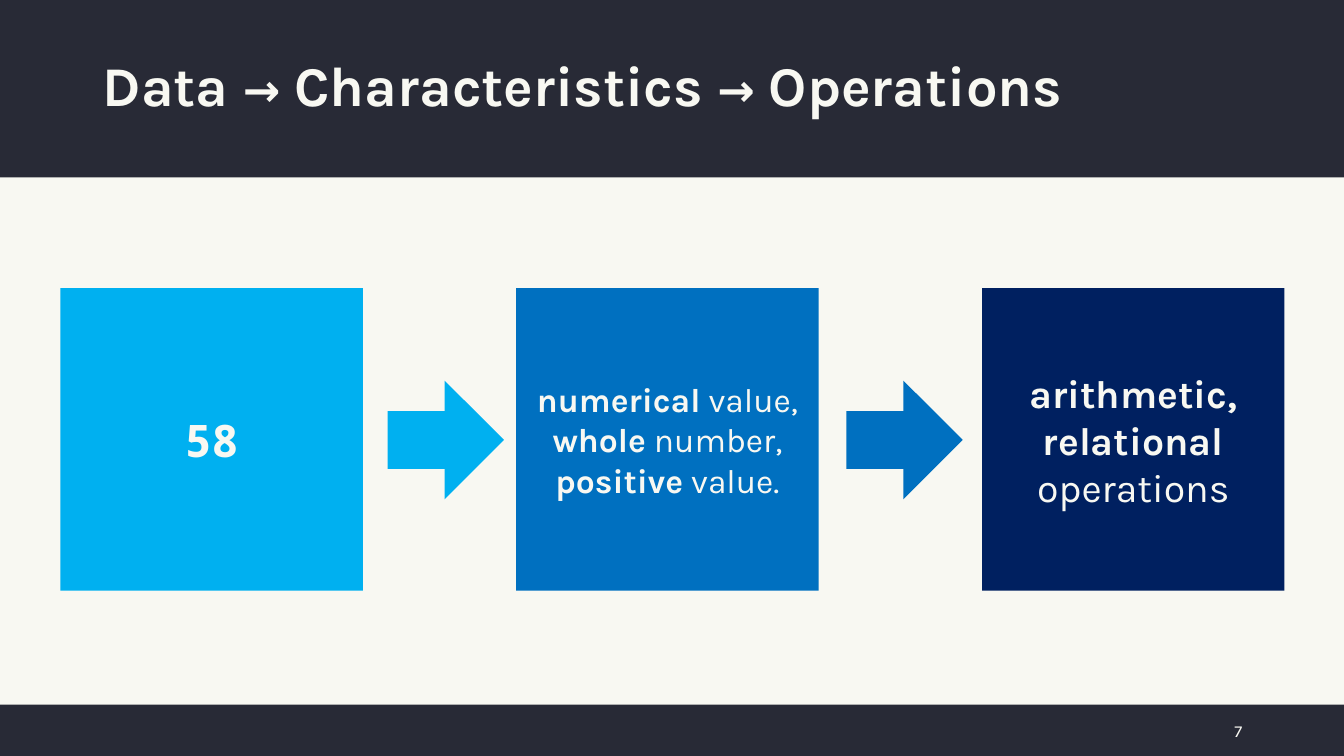
"""Build the slide that leads from data to characteristics to operations."""
from lxml.etree import SubElement
from pptx import Presentation
from pptx.dml.color import RGBColor
from pptx.enum.shapes import MSO_SHAPE as Shape
from pptx.enum.text import MSO_ANCHOR as Anchor, PP_ALIGN as Align
from pptx.oxml.ns import qn
from pptx.util import Inches, Pt

COLORS = {
    "paper": "F8F8F2",
    "band": "282A36",
    "data": "00B0F0",
    "characteristics": "0070C0",
    "operations": "002060",
}
CELL = Inches(0.5)
COLUMNS, ROWS = 26.66, 15
SQUARE, SQUARE_TOP = 6, 5.72
ARROW_TOP, ARROW_WIDTH, ARROW_HEIGHT = 7.72, 2.14, 2.02

STEPS = [
    ("data", 1.2, [("58", 32, True, "Noto Sans Mono")]),
    ("characteristics", 10.24, [
        ("numerical", 24, True), (" value,", 24, False), None,
        ("whole", 24, True), (" number, ", 24, False),
        ("positive", 24, True), (" value.", 24, False),
    ]),
    ("operations", 19.48, [
        ("arithmetic,", 28, True), None,
        ("relational ", 28, True), ("operations", 28, False),
    ]),
]
ARROWS = [("data", 7.76), ("characteristics", 16.86)]
TITLE = [
    ("Data ", 40, True), ("→", 32, True), (" Characteristics ", 40, True),
    ("→", 32, True), (" Operations", 40, True),
]


def color(name):
    """Return the named colour."""
    return RGBColor.from_string(COLORS[name])


def cells(*counts):
    """Turn counts of grid cells into lengths."""
    return [int(count * CELL) for count in counts]


def add_block(page, kind, area, fill):
    """Add a plain filled shape without outline."""
    block = page.shapes.add_shape(kind, *cells(*area))
    block.shadow.inherit = False
    block.fill.solid()
    block.fill.fore_color.rgb = color(fill)
    block.line.fill.background()
    return block


def write(box, spans, align):
    """Write one paragraph into a box; None among the spans breaks the line."""
    frame = box.text_frame
    frame.word_wrap = True
    frame.vertical_anchor = Anchor.MIDDLE
    para = frame.paragraphs[0]
    para.alignment = align
    for entry in spans:
        if entry is None:
            para.add_line_break()
            continue
        text, size, bold, *family = entry
        span = para.add_run()
        span.text = text
        span.font.size = Pt(size)
        span.font.bold = bold
        span.font.name = family[0] if family else "Karla"
        span.font.color.rgb = color("paper")
    return para


def add_label(page, area, spans, align):
    """Add a text box and return its paragraph."""
    return write(page.shapes.add_textbox(*cells(*area)), spans, align)


def add_arrow(page, fill, left):
    """Add a block arrow with a thick, sharp-cornered outline."""
    area = (left, ARROW_TOP, ARROW_WIDTH, ARROW_HEIGHT)
    arrow = add_block(page, Shape.RIGHT_ARROW, area, fill)
    arrow.line.color.rgb = color(fill)
    arrow.line.width = Pt(5)
    SubElement(arrow.line._get_or_add_ln(), qn("a:miter"), lim="800000")


def main():
    """Build and save the deck."""
    deck = Presentation()
    deck.slide_width, deck.slide_height = cells(COLUMNS, ROWS)
    page = deck.slides.add_slide(deck.slide_layouts[6])
    page.background.fill.solid()
    page.background.fill.fore_color.rgb = color("paper")
    for top, height in ((0, 3.52), (13.98, 1.02)):
        add_block(page, Shape.RECTANGLE, (0, top, COLUMNS, height), "band")
    for fill, left, spans in STEPS:
        area = (left, SQUARE_TOP, SQUARE, SQUARE)
        write(add_block(page, Shape.RECTANGLE, area, fill), spans, Align.CENTER)
    for fill, left in ARROWS:
        add_arrow(page, fill, left)
    title = add_label(page, (1.84, 0.3, 23, 2.9), TITLE, Align.LEFT)
    title.line_spacing = 0.9
    add_label(page, (23.36, 14.1, 1.48, 0.8), [("7", 12, False)], Align.RIGHT)
    deck.save("out.pptx")


if __name__ == "__main__":
    main()
